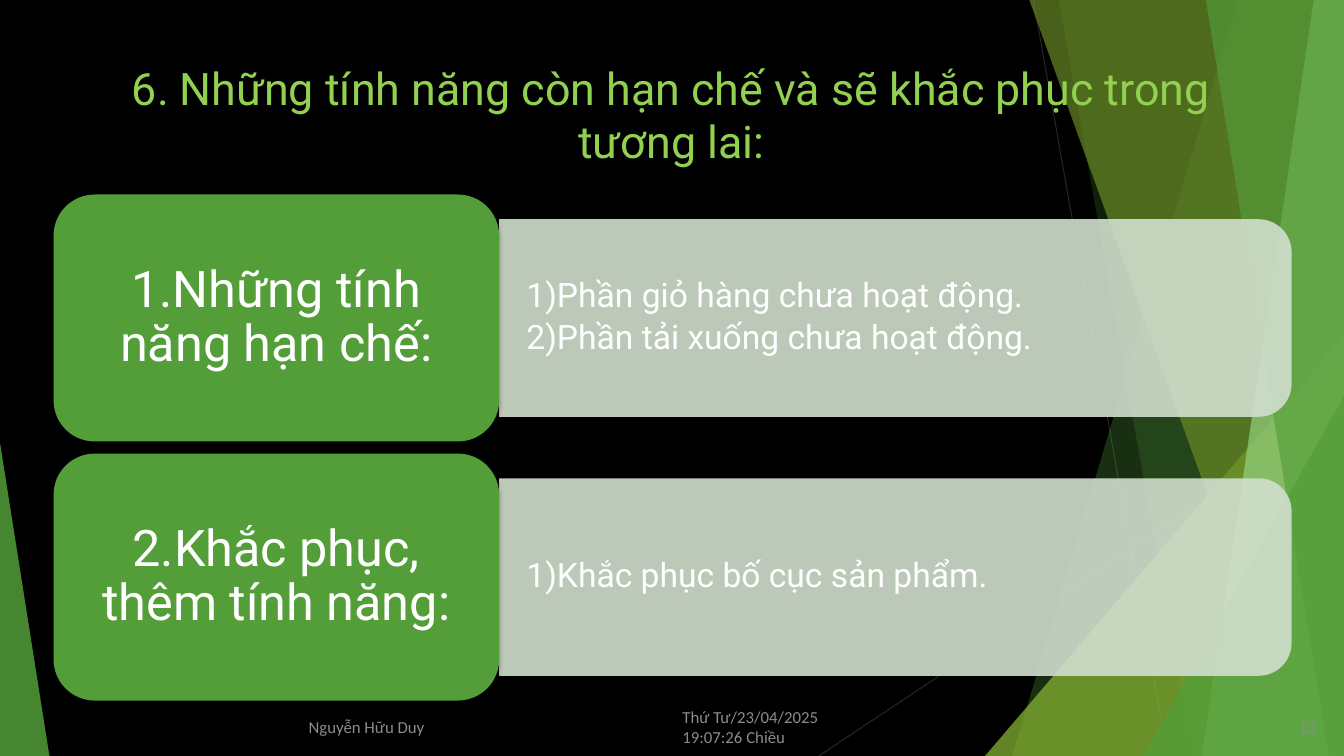
"""Build the slide on limited features and planned fixes."""
from lxml import etree
from pptx import Presentation
from pptx import util as u
from pptx.dml.color import RGBColor
from pptx.enum import shapes, text
from pptx.oxml.ns import qn

prs = Presentation()
prs.slide_width, prs.slide_height = u.Inches(13.33), u.Inches(7.5)
col, row = prs.slide_width / 100, prs.slide_height / 100
s = prs.slides.add_slide(prs.slide_layouts[6])
LEFT, CENTER = text.PP_ALIGN.LEFT, text.PP_ALIGN.CENTER
TOP, MIDDLE = text.MSO_ANCHOR.TOP, text.MSO_ANCHOR.MIDDLE


def paint(fill, color, opacity=100):
    """Give a fill a solid colour with an opacity in percent."""
    fill.solid()
    fill.fore_color.rgb = RGBColor.from_string(color)
    if opacity < 100:
        clr = fill._xPr.find(".//" + qn("a:srgbClr"))
        etree.SubElement(clr, qn("a:alpha")).set("val", str(opacity * 1000))


def write(sp, lines, size, color, font="Roboto", align=LEFT, anchor=MIDDLE,
          inset=(0.1, 0.05), spacing=None, after=0, numbered=False):
    """Fill a shape with one paragraph per line."""
    tf = sp.text_frame
    tf.word_wrap, tf.vertical_anchor = True, anchor
    tf.margin_left = tf.margin_right = u.Inches(inset[0])
    tf.margin_top = tf.margin_bottom = u.Inches(inset[1])
    for i, line in enumerate(lines):
        p = tf.add_paragraph() if i else tf.paragraphs[0]
        if numbered:
            pPr = p._p.get_or_add_pPr()
            pPr.set("marL", str(u.Inches(0.25)))
            pPr.set("indent", str(-u.Inches(0.25)))
            etree.SubElement(pPr, qn("a:buAutoNum")).set("type", "arabicParenR")
        p.alignment, p.line_spacing, p.space_after = align, spacing, u.Pt(after)
        r = p.add_run()
        r.text, r.font.size, r.font.name = line, u.Pt(size), font
        paint(r.font.fill, color)


paint(s.background.fill, "000000")

for x1, y1, x2, y2 in [(76.89, 0, 86.87, 100), (100, 53.73, 60.92, 100)]:
    ln = s.shapes.add_connector(shapes.MSO_CONNECTOR.STRAIGHT, int(x1 * col),
                                int(y1 * row), int(x2 * col), int(y2 * row))
    ln.line.width = u.Pt(0.75)
    paint(ln.line.fill, "262626")
    etree.SubElement(ln._element.spPr, qn("a:effectLst"))

facets = [
    ("band", (92.12, 75.32), "549E39", 30),
    ("band", (78.77, 88.75), "549E39", 20),
    ("triangle", (73.29, 44.4, 26.71, 1), "8AB833", 72),
    ("band", (76.59, 96.85), "678A26", 70),
    ("band", (97.75, 89.42), "93D07D", 70),
    ("band", (89.72, 98.87), "549E39", 65),
    ("triangle", (85.07, 52.4, 14.93, 1), "549E39", 80),
    ("triangle", (0, 58.53, 3.68, 0), "549E39", 85),
]
for kind, place, color, opacity in facets:
    if kind == "band":
        top, bottom = place
        fb = s.shapes.build_freeform(int(top * col), 0)
        fb.add_line_segments([(int(x * col), int(y * row)) for x, y in
                              [(100, 0), (100, 100), (bottom, 100)]])
        sp = fb.convert_to_shape()
    else:
        x, y, w, apex = place
        sp = s.shapes.add_shape(shapes.MSO_SHAPE.ISOSCELES_TRIANGLE, int(x * col),
                                int(y * row), int(w * col), int((100 - y) * row))
        sp.adjustments[0] = apex
    sp.shadow.inherit = False
    sp.line.fill.background()
    paint(sp.fill, color, opacity)

title = s.shapes.add_textbox(int(8.4 * col), int(7.33 * row),
                             int(83.12 * col), int(25.73 * row))
write(title, ["6. Những tính năng còn hạn chế và sẽ khắc phục trong tương lai:"],
      32, "92D050", align=CENTER, anchor=TOP)

cards = [
    ("1.Những tính năng hạn chế:",
     ["Phần giỏ hàng chưa hoạt động.", "Phần tải xuống chưa hoạt động."]),
    ("2.Khắc phục, thêm tính năng:", ["Khắc phục bố cục sản phẩm."]),
]
card_x, card_w, card_h, pitch = 3.98 * col, 33.16 * col, 32.67 * row, 34.27 * row
bar_x, bar_w, bar_h = card_x + card_w, 58.96 * col, 26.13 * row
note_w, note_h = 58.21 * col, 23.6 * row
for i, (heading, details) in enumerate(cards):
    card_y = 25.73 * row + i * pitch
    mid = card_y + card_h / 2

    bar = s.shapes.add_shape(shapes.MSO_SHAPE.ROUND_2_SAME_RECTANGLE,
                             int(bar_x + (bar_w - bar_h) / 2), int(mid - bar_w / 2),
                             int(bar_h), int(bar_w))
    bar.rotation = 90
    bar.shadow.inherit = False
    bar.line.fill.background()
    paint(bar.fill, "D1DFCE", 90)

    note = s.shapes.add_textbox(int(bar_x), int(mid - note_h / 2),
                                int(note_w), int(note_h))
    write(note, details, 24, "FFFFFF", inset=(0.27, 0.14), spacing=0.9,
          after=4, numbered=True)

    card = s.shapes.add_shape(shapes.MSO_SHAPE.ROUNDED_RECTANGLE, int(card_x),
                              int(card_y), int(card_w), int(card_h))
    card.line.fill.background()
    paint(card.fill, "549E39")
    card.shadow.inherit = False
    effects = card._element.spPr.find(qn("a:effectLst"))
    shadow = etree.SubElement(effects, qn("a:outerShdw"), blurRad=str(u.Pt(3)),
                              dist=str(u.Pt(2)), dir="5400000", rotWithShape="0")
    black = etree.SubElement(shadow, qn("a:srgbClr"), val="000000")
    etree.SubElement(black, qn("a:alpha"), val="35000")
    write(card, [heading], 36, "FFFFFF", align=CENTER, inset=(0.27, 0.19),
          spacing=0.9, after=12.6)

footers = [
    (50.04, 16.13, "Thứ Tư/23/04/2025 19:07:26 Chiều", LEFT),
    (1.43, 51.69, "Nguyễn Hữu Duy", CENTER),
    (92.27, 6.38, "13", text.PP_ALIGN.RIGHT),
]
for x, w, line, align in footers:
    tb = s.shapes.add_textbox(int(x * col), int(93.47 * row),
                              int(w * col), int(5.33 * row))
    write(tb, [line], 12, "8C8C8C", font="Calibri", align=align)

prs.save("out.pptx")
